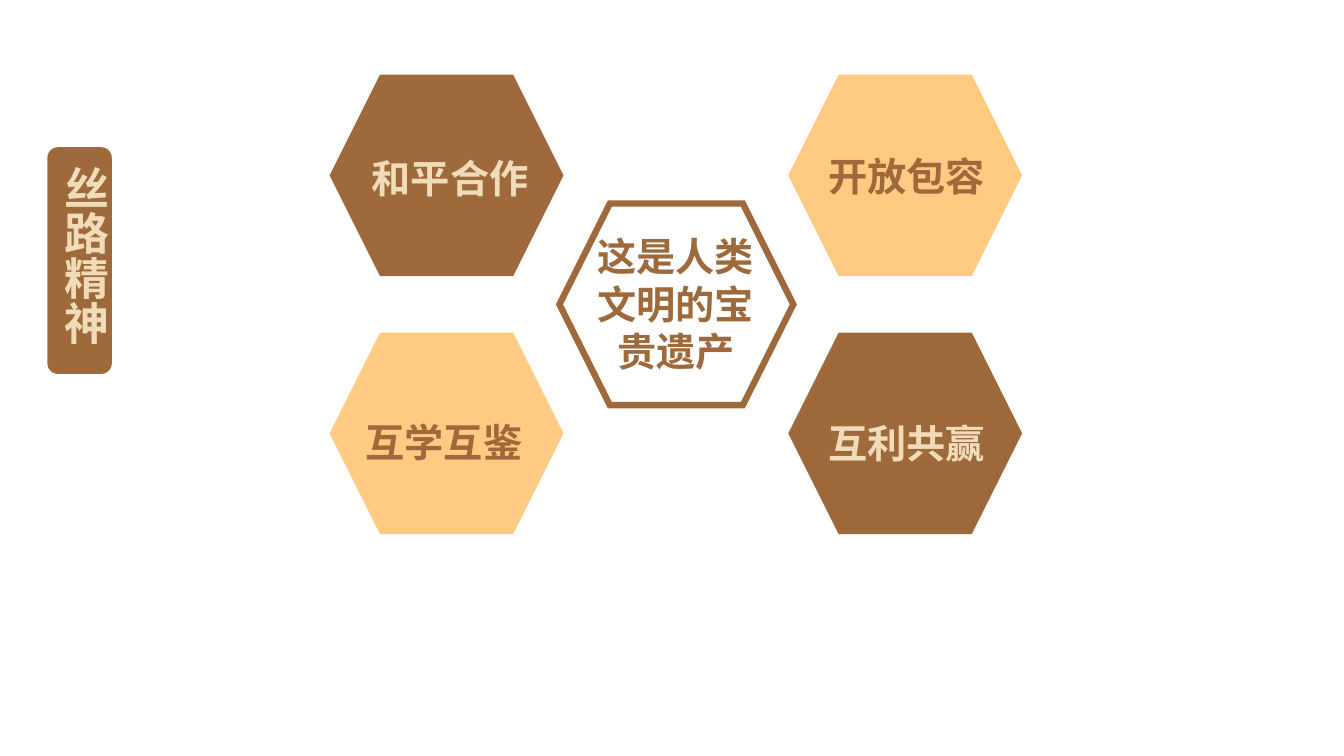
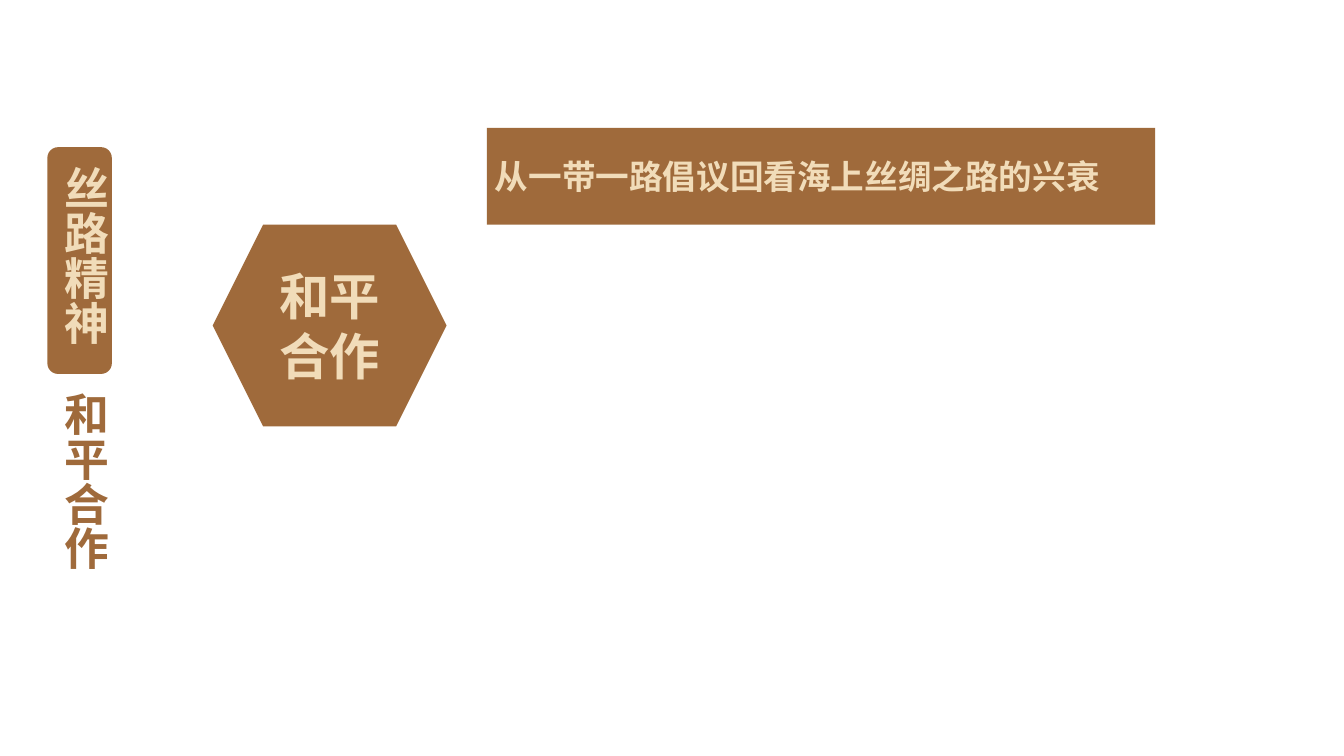
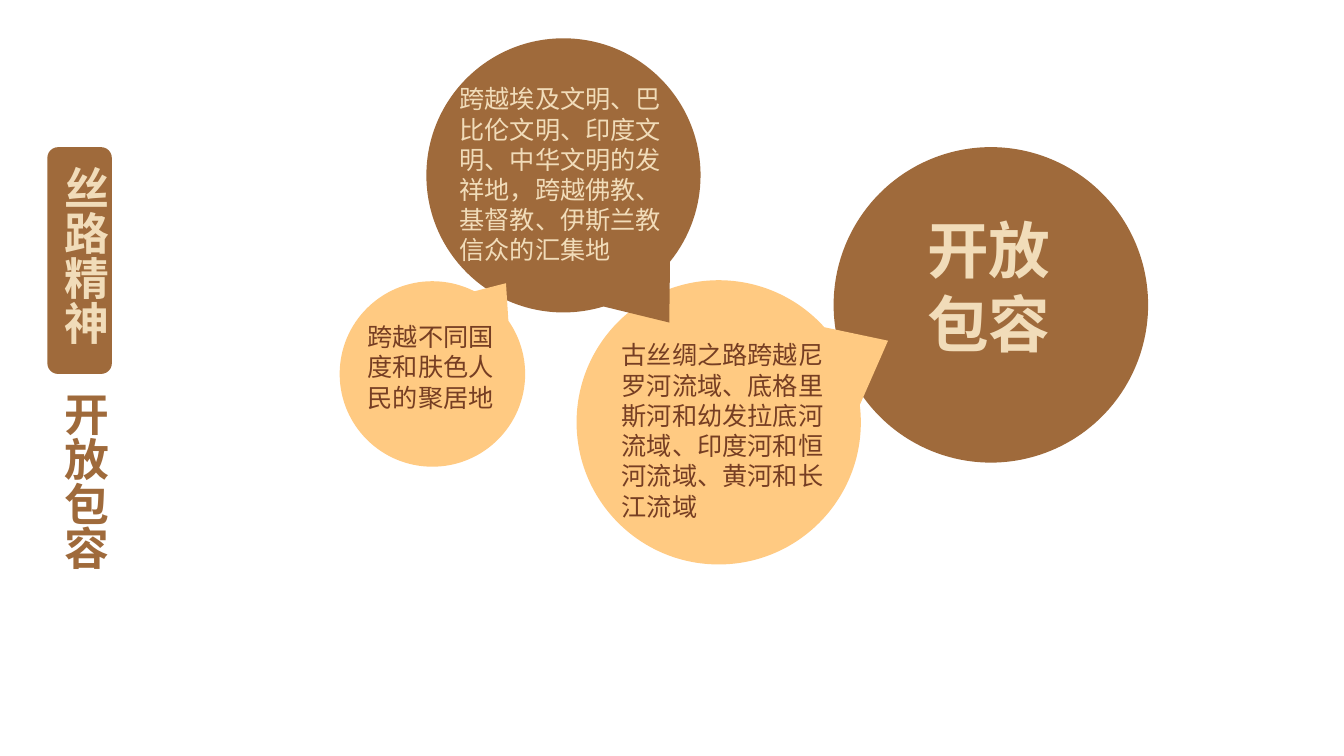
import itertools
import math

import pptx
import pptx.dml.color
import pptx.enum.shapes
import pptx.enum.text
import pptx.oxml.ns
import pptx.util
from lxml import etree

RGBColor = pptx.dml.color.RGBColor
SHAPE = pptx.enum.shapes.MSO_SHAPE
ALIGN = pptx.enum.text.PP_ALIGN
qn = pptx.oxml.ns.qn

PX = 9144  # EMU per px, 100 px to the inch
FONT = "Noto Sans CJK SC"
BROWN = RGBColor(0x9F, 0x6A, 0x3B)
DARK_BROWN = RGBColor(0x76, 0x3E, 0x23)
ORANGE = RGBColor(0xFF, 0xCA, 0x82)
CREAM = RGBColor(0xF1, 0xDC, 0xB9)


def add_box(slide, box, kind=None, fill=None):
    """Add a preset shape, or a text box when no kind is given."""
    left, top, width, height = [length * PX for length in box]
    if kind is None:
        text_box = slide.shapes.add_textbox(left, top, width, height)
        text_box.text_frame.auto_size = pptx.enum.text.MSO_AUTO_SIZE.SHAPE_TO_FIT_TEXT
        return text_box
    shape = slide.shapes.add_shape(kind, left, top, width, height)
    shape.shadow.inherit = False
    shape.line.fill.background()
    if fill is None:
        shape.fill.background()
    else:
        shape.fill.solid()
        shape.fill.fore_color.rgb = fill
    return shape


def write(shape, text, size, color, bold=True, align=ALIGN.LEFT, vertical=False):
    frame = shape.text_frame
    frame.word_wrap = not vertical
    if vertical:
        frame._txBody.bodyPr.set("vert", "eaVert")
    paragraph = frame.paragraphs[0]
    paragraph.text = text
    paragraph.alignment = align
    font = paragraph.font
    font.size = pptx.util.Pt(size)
    font.bold = bold
    font.color.rgb = color
    font.name = FONT
    east_asian = etree.SubElement(font._element, qn("a:ea"))
    east_asian.set("typeface", FONT)
    return paragraph


presentation = pptx.Presentation()
presentation.slide_height = 750 * PX
presentation.slide_width = presentation.slide_height * 16 // 9

# Every slide has the section tag; topic slides name their topic below it
slides = []
for topic in (None, "和平合作", "开放包容"):
    slide = presentation.slides.add_slide(presentation.slide_layouts[6])
    add_box(slide, (47, 146, 64, 225), SHAPE.ROUNDED_RECTANGLE, BROWN)
    write(add_box(slide, (42, 155, 74, 190)), "丝路精神", 32, CREAM, vertical=True)
    if topic:
        write(add_box(slide, (42, 379, 74, 190)), topic, 32, BROWN, vertical=True)
    slides.append(slide)
overview, peace, openness = slides

# Slide 1: four values around a central statement
HEXAGON_SIZE = (232, 200)
values = [
    ("和平合作", 327, 74, BROWN, CREAM, 359, 125),
    ("互利共赢", 782, 330, BROWN, CREAM, 812, 388),
    ("开放包容", 782, 74, ORANGE, BROWN, 812, 123),
    ("互学互鉴", 327, 330, ORANGE, BROWN, 353, 387),
]
for text, left, top, fill, color, text_left, text_top in values:
    add_box(overview, (left, top, *HEXAGON_SIZE), SHAPE.HEXAGON, fill)
    label = add_box(overview, (text_left, text_top, 191, 72))
    write(label, text, 28, color).line_spacing = 1.5

center = add_box(overview, (555, 202, *HEXAGON_SIZE), SHAPE.HEXAGON)
center.line.color.rgb = BROWN
center.line.width = pptx.util.Pt(4.5)
etree.SubElement(center.line._ln, qn("a:miter")).set("lim", "800000")
statement = add_box(overview, (574, 226, 193, 151))
write(statement, "这是人类文明的宝贵遗产", 28, BROWN, align=ALIGN.CENTER)

# Slide 2: topic hexagon and heading bar
panels = [
    ((211, 223, *HEXAGON_SIZE), SHAPE.HEXAGON, "和平合作", 36, ALIGN.CENTER),
    ((483, 127, 663, 96), SHAPE.RECTANGLE, "从一带一路倡议回看海上丝绸之路的兴衰", 24, ALIGN.LEFT),
]
for box, kind, text, size, align in panels:
    panel = add_box(peace, box, kind, BROWN)
    frame = panel.text_frame
    frame.margin_left = frame.margin_right = 8 * PX
    frame.margin_top = frame.margin_bottom = 4 * PX
    frame.vertical_anchor = pptx.enum.text.MSO_ANCHOR.MIDDLE
    write(panel, text, size, CREAM, align=align)

# Slide 3: topic circle and a chain of speech bubbles
add_box(openness, (827, 146, 312, 313), SHAPE.OVAL, BROWN)

# Centre, radius, tail tip, angles of the tail's two feet, fill, text colour, text box, text
bubbles = [
    ((713, 419), 141, (881, 338), (-42, -7), ORANGE, DARK_BROWN, (607, 332, 224, 192),
     "古丝绸之路跨越尼罗河流域、底格里斯河和幼发拉底河流域、印度河和恒河流域、黄河和长江流域"),
    ((559, 174), 136, (664, 320), (39, 73), BROWN, CREAM, (446, 78, 223, 192),
     "跨越埃及文明、巴比伦文明、印度文明、中华文明的发祥地，跨越佛教、基督教、伊斯兰教信众的汇集地"),
    ((429, 371), 92, (502, 281), (-63, -35), ORANGE, DARK_BROWN, (355, 314, 169, 101),
     "跨越不同国度和肤色人民的聚居地"),
]
for (x, y), radius, (tip_x, tip_y), (first, last), fill, color, box, text in bubbles:
    end = first + 360
    quarters = [angle for angle in range(0, 361, 90) if last < angle < end]
    angles = [math.radians(angle) for angle in (last, *quarters, end)]
    corners = [
        ((x + radius * math.cos(angle)) * PX, (y + radius * math.sin(angle)) * PX)
        for angle in angles
    ]
    builder = openness.shapes.build_freeform(tip_x * PX, tip_y * PX)
    builder.add_line_segments(corners, close=True)
    bubble = builder.convert_to_shape()
    bubble.shadow.inherit = False
    bubble.line.fill.background()
    bubble.fill.solid()
    bubble.fill.fore_color.rgb = fill

    # Bend the sides between the tail's feet into circular arcs
    sides = list(bubble._element.iter(qn("a:lnTo")))[1:]
    for side, (start, stop) in zip(sides, itertools.pairwise(angles)):
        side.tag = qn("a:cubicBezTo")
        reach = 4 / 3 * math.tan((stop - start) / 4)
        for index, (angle, pull) in enumerate([(start, reach), (stop, -reach)]):
            control_x = x + radius * (math.cos(angle) - pull * math.sin(angle))
            control_y = y + radius * (math.sin(angle) + pull * math.cos(angle))
            point = etree.Element(qn("a:pt"))
            point.set("x", str(round(control_x * PX - bubble.left)))
            point.set("y", str(round(control_y * PX - bubble.top)))
            side.insert(index, point)

    write(add_box(openness, box), text, 18, color, bold=False)

write(add_box(openness, (910, 205, 147, 158)), "开放包容", 44, CREAM)

presentation.save("out.pptx")
